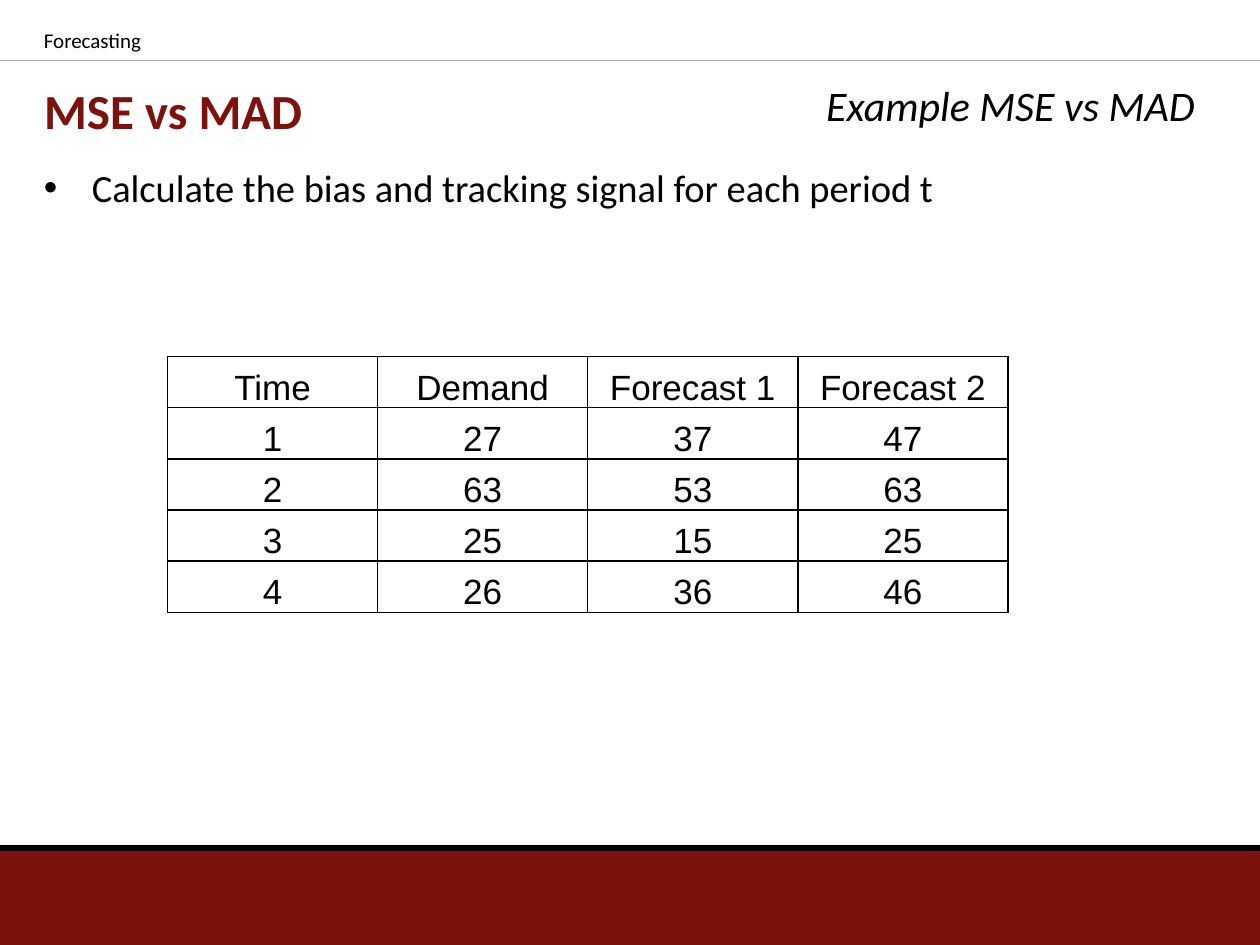
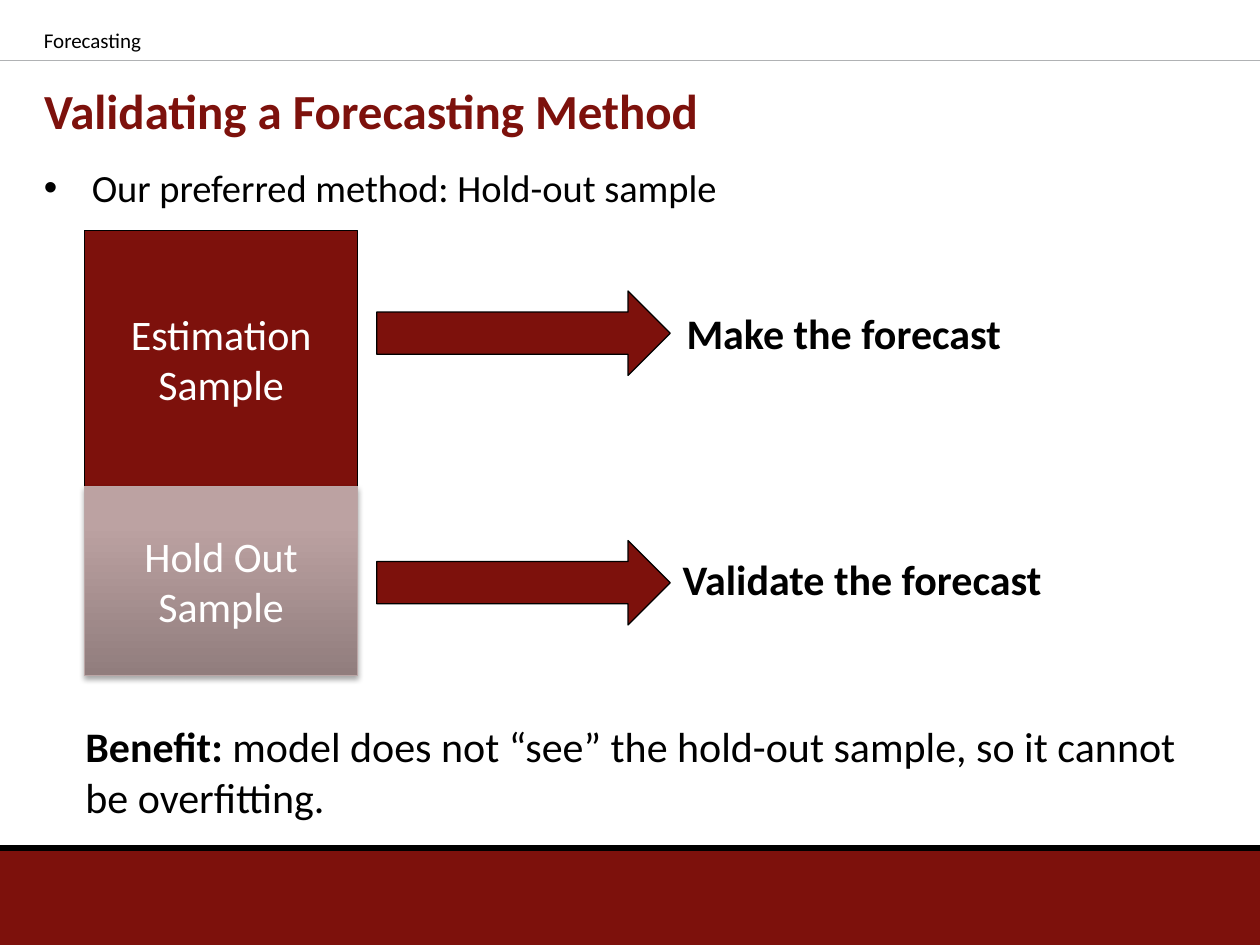
import copy
from dataclasses import dataclass

import lxml.etree
import pptx
import pptx.dml.color
import pptx.enum.shapes
import pptx.enum.text
import pptx.oxml.ns
import pptx.util

Inches, Pt = pptx.util.Inches, pptx.util.Pt
RGB = pptx.dml.color.RGBColor.from_string
qn = pptx.oxml.ns.qn
SHAPE = pptx.enum.shapes.MSO_SHAPE
ALIGN = pptx.enum.text.PP_ALIGN
ANCHOR = pptx.enum.text.MSO_ANCHOR


@dataclass(frozen=True)
class Theme:
    red: str = "7D110C"
    black: str = "000000"
    white: str = "FFFFFF"
    rule: str = "B0B2B4"
    faded_line: str = "BBA6A6"
    faded_stops: tuple = ((0, "917D7D"), (0.8, "BCA2A2"), (1, "BEA2A2"))
    font: str = "Calibri"
    table_font: str = "Arial"
    title: int = 28
    label: int = 24
    bullet: int = 22
    cell: int = 20
    header: int = 12


THEME = Theme()


def box(x, y, w, h):
    return Inches(x), Inches(y), Inches(w), Inches(h)


def add_xml(parent, tag, **attrs):
    return lxml.etree.SubElement(parent, qn(tag), {k: str(v) for k, v in attrs.items()})


def style(p, size, color=THEME.black, name=THEME.font, bold=False, italic=False,
          align=ALIGN.LEFT):
    p.alignment = align
    p.font.name, p.font.size = name, Pt(size)
    p.font.bold, p.font.italic = bold, italic
    p.font.color.rgb = RGB(color)


def add_text(slide, pos, text, size=THEME.label, **fmt):
    tf = slide.shapes.add_textbox(*box(*pos)).text_frame
    tf.word_wrap = True
    p = tf.paragraphs[0]
    p.text = text
    style(p, size, **fmt)
    return p


def add_bullet(slide, text):
    p = add_text(slide, (0.25, 1.25, 9.19, 5.19), text, THEME.bullet)
    p.space_before = Pt(0.2 * THEME.bullet)
    pPr = p._p.get_or_add_pPr()
    pPr.set("marL", str(Inches(0.38)))
    pPr.set("indent", str(-Inches(0.38)))
    font, char = (pptx.oxml.parse_xml(
        f'<a:{tag} {pptx.oxml.ns.nsdecls("a")} {attr}/>')
        for tag, attr in (("buFont", 'typeface="Arial"'), ("buChar", 'char="•"')))
    default_font = pPr.find(qn("a:defRPr"))
    default_font.addprevious(font)
    default_font.addprevious(char)


def add_rule(slide, y, color, width):
    line = slide.shapes.add_connector(pptx.enum.shapes.MSO_CONNECTOR.STRAIGHT,
                                      0, Inches(y), Inches(10), Inches(y))
    line.line.color.rgb = RGB(color)
    line.line.width = Pt(width)
    add_xml(line._element.spPr, "a:effectLst")


def add_block(slide, kind, pos, line=THEME.black, text=None):
    """Add a red shape; line=None leaves it without an outline."""
    sp = slide.shapes.add_shape(kind, *box(*pos))
    sp.shadow.inherit = False
    sp.fill.solid()
    sp.fill.fore_color.rgb = RGB(THEME.red)
    if line:
        sp.line.color.rgb = RGB(line)
        sp.line.width = Pt(0.75)
    else:
        sp.line.fill.background()
    if text:
        tf = sp.text_frame
        tf.word_wrap = True
        tf.vertical_anchor = ANCHOR.MIDDLE
        tf.paragraphs[0].text = text
        style(tf.paragraphs[0], THEME.label, THEME.white, align=ALIGN.CENTER)
    return sp


def add_sample(slide, y, h, text, line=THEME.black):
    sp = add_block(slide, SHAPE.ROUNDED_RECTANGLE, (0.67, y, 2.17, h), line, text)
    sp.adjustments[0] = 0
    return sp


def fade(sp):
    """Give a shape the upward faded gradient and a soft shadow below."""
    sp.fill.gradient()
    sp.fill.gradient_angle = 90
    stops = sp._element.spPr.find(".//" + qn("a:gsLst"))
    stops.append(copy.deepcopy(stops[-1]))
    for stop, (position, color) in zip(sp.fill.gradient_stops, THEME.faded_stops):
        stop.position = position
        stop.color.rgb = RGB(color)
    effects = sp._element.spPr.find(qn("a:effectLst"))
    shadow = add_xml(effects, "a:outerShdw", blurRad=Pt(3.1), dist=Pt(1.8),
                     dir=90 * 60000, rotWithShape=0)
    add_xml(add_xml(shadow, "a:srgbClr", val=THEME.black), "a:alpha", val=35000)


def format_cell(cell, text):
    cell.vertical_anchor = ANCHOR.BOTTOM
    cell.margin_left = cell.margin_right = cell.margin_top = Inches(0.01)
    cell.margin_bottom = 0
    cell.text = text
    style(cell.text_frame.paragraphs[0], THEME.cell, name=THEME.table_font,
          align=ALIGN.CENTER)
    tcPr = cell._tc.get_or_add_tcPr()
    for side in "LRTB":
        ln = add_xml(tcPr, f"a:ln{side}", w=Pt(1))
        add_xml(add_xml(ln, "a:solidFill"), "a:srgbClr", val=THEME.black)
    cell.fill.background()


def add_grid(slide, pos, rows):
    table = slide.shapes.add_table(len(rows), len(rows[0]), *box(*pos)).table
    table.first_row = table.horz_banding = False
    for r, row in enumerate(rows):
        for c, value in enumerate(row):
            format_cell(table.cell(r, c), str(value))


def add_slide(prs, title, bullet):
    slide = prs.slides.add_slide(prs.slide_layouts.get_by_name("Title Only"))
    add_block(slide, SHAPE.RECTANGLE, (0, 6.75, 10, 0.75), line=None)
    add_rule(slide, 0.48, THEME.rule, 0.75)
    add_rule(slide, 6.73, THEME.black, 3.75)
    sp = slide.shapes.title
    sp.left, sp.top, sp.width, sp.height = box(0.25, 0.58, 9.19, 0.58)
    tf = sp.text_frame
    tf.text = title
    tf.vertical_anchor = ANCHOR.MIDDLE
    style(tf.paragraphs[0], THEME.title, THEME.red, bold=True)
    add_bullet(slide, bullet)
    add_text(slide, (0.25, 0.17, 5.42, 0.33), "Forecasting", THEME.header)
    return slide


def build_example(prs):
    slide = add_slide(prs, "MSE vs MAD",
                      "Calculate the bias and tracking signal for each period t")
    add_grid(slide, (1.33, 2.83, 6.67, 2.03), [
        ("Time", "Demand", "Forecast 1", "Forecast 2"),
        (1, 27, 37, 47),
        (2, 63, 53, 63),
        (3, 25, 15, 25),
        (4, 26, 36, 46),
    ])
    add_text(slide, (6.33, 0.58, 3.25, 0.5), "Example MSE vs MAD",
             italic=True, align=ALIGN.RIGHT)


def build_validation(prs):
    slide = add_slide(prs, "Validating a Forecasting Method",
                      "Our preferred method: Hold-out sample")
    add_sample(slide, 1.83, 2.03, "Estimation Sample")
    for arrow_y, x, y, purpose in ((2.31, 5.35, 2.39, "Make the forecast"),
                                   (4.29, 5.32, 4.34, "Validate the forecast")):
        add_block(slide, SHAPE.RIGHT_ARROW, (2.99, arrow_y, 2.33, 0.67))
        add_text(slide, (x, y, 3.58, 0.5), purpose, bold=True)
    benefit = add_text(slide, (0.58, 5.67, 8.86, 0.91), "Benefit: ")
    benefit.runs[0].font.bold = True
    benefit.add_run().text = ("model does not “see” the hold-out sample, "
                              "so it cannot be overfitting.")
    fade(add_sample(slide, 3.86, 1.5, "Hold Out Sample", THEME.faded_line))


def main():
    prs = pptx.Presentation()
    prs.slide_width, prs.slide_height = Inches(10), Inches(7.5)
    build_example(prs)
    build_validation(prs)
    prs.save("out.pptx")


if __name__ == "__main__":
    main()
